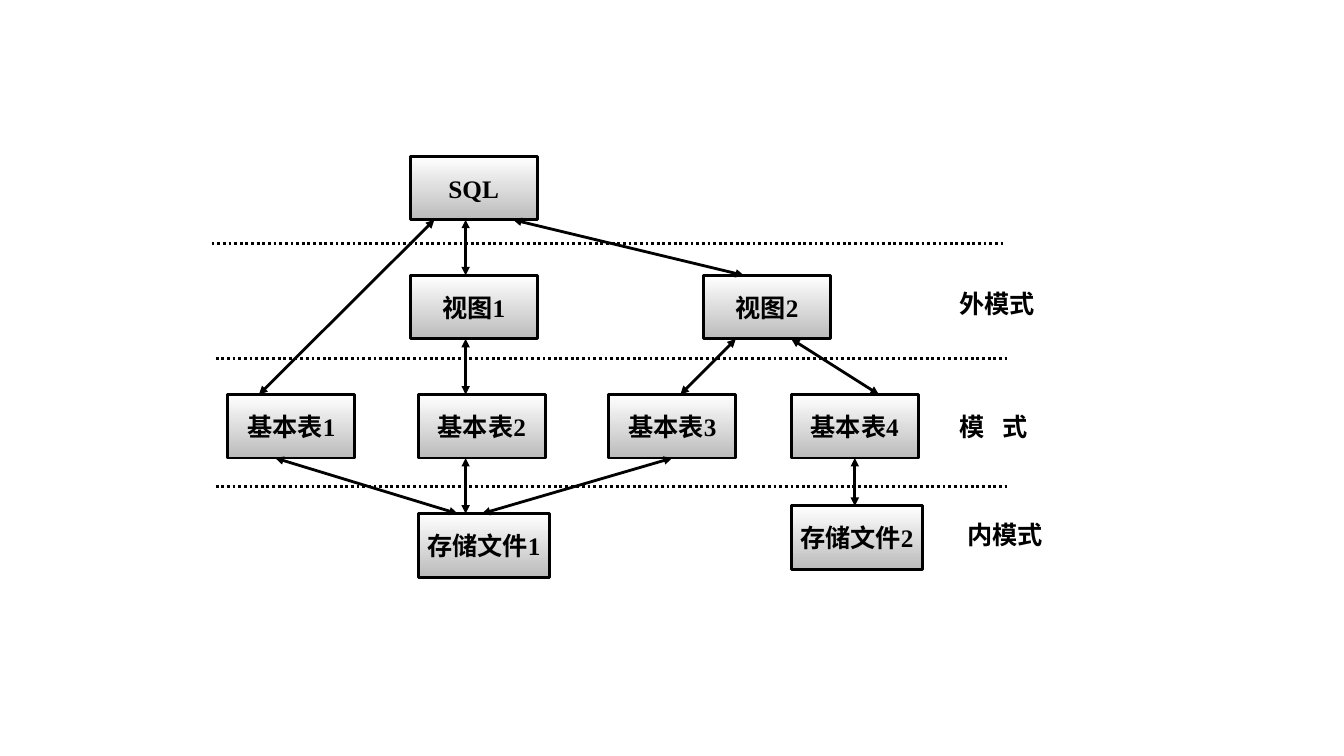
from lxml import etree
from pptx import Presentation
from pptx.dml.color import RGBColor
from pptx.enum.dml import MSO_LINE
from pptx.enum.shapes import MSO_CONNECTOR, MSO_SHAPE
from pptx.enum.text import MSO_ANCHOR, MSO_AUTO_SIZE, PP_ALIGN
from pptx.oxml.ns import qn
from pptx.util import Pt

RECT = MSO_SHAPE.RECTANGLE
STRAIGHT = MSO_CONNECTOR.STRAIGHT
DOTTED = MSO_LINE.ROUND_DOT
MIDDLE = MSO_ANCHOR.MIDDLE
GROW = MSO_AUTO_SIZE.SHAPE_TO_FIT_TEXT
CENTER = PP_ALIGN.CENTER

COLORS = {"ink": "000000", "light": "FFFFFF", "shade": "BBBBBB"}
FONT = "Times New Roman"
BOX_H = 45.4
BOX_W = 90.7
FILE_W = 93.6
TABLE_X = 298.8
ROWS = [111.6 + 85.1 * i for i in range(4)]
FILE2_Y = 361.4

BOXES = {
    "SQL": (293, ROWS[0], BOX_W),
    "视图1": (293, ROWS[1], BOX_W),
    "视图2": (502.6, ROWS[1], BOX_W),
    "基本表1": (162.7, ROWS[2], BOX_W),
    "基本表2": (TABLE_X, ROWS[2], BOX_W),
    "基本表3": (434.9, ROWS[2], BOX_W),
    "基本表4": (565.2, ROWS[2], BOX_W),
    "存储文件1": (TABLE_X, ROWS[3], FILE_W),
    "存储文件2": (565.2, FILE2_Y, FILE_W),
}
ARROWS = [
    ("SQL", 310.3, "基本表1", 185),
    ("SQL", 332.6, "视图1", 332.6),
    ("视图1", 332.6, "基本表2", 332.6),
    ("基本表2", 332.6, "存储文件1", 332.6),
    ("SQL", 366.5, "视图2", 531.4),
    ("视图2", 525.6, "基本表3", 486),
    ("视图2", 565.2, "基本表4", 627.8),
    ("基本表1", 196.6, "存储文件1", 326.9),
    ("基本表3", 480.2, "存储文件1", 344.2),
    ("基本表4", 610.6, "存储文件2", 610.6),
]
DIVIDERS = [(151.2, 174.2), (154.1, 256.3), (154.1, 347.8)]
DIVIDER_W = 567
LABELS = [("外模式", 678.2, 202.3), ("模 式", 678.2, 290.2), ("内模式", 684, 367.2)]
LABEL_SPACE = "900"


def rgb(name):
    return RGBColor.from_string(COLORS[name])


def style_line(line):
    line.color.rgb = rgb("ink")
    line.width = Pt(2)


def style_text(p):
    p.font.name = FONT
    p.font.size = Pt(18)
    p.font.bold = True
    p.font.color.rgb = rgb("ink")


def add_box(s, text, x, y, w):
    sp = s.shapes.add_shape(RECT, Pt(x), Pt(y), Pt(w), Pt(BOX_H))
    sp.shadow.inherit = False
    sp.fill.gradient()
    sp.fill.gradient_angle = 270
    for stop, name in zip(sp.fill.gradient_stops, ("light", "shade")):
        stop.color.rgb = rgb(name)
    style_line(sp.line)
    tf = sp.text_frame
    tf.word_wrap = False
    tf.vertical_anchor = MIDDLE
    p = tf.paragraphs[0]
    p.text = text
    p.alignment = CENTER
    style_text(p)


def add_line(s, x1, y1, x2, y2):
    cxn = s.shapes.add_connector(STRAIGHT, Pt(x1), Pt(y1), Pt(x2), Pt(y2))
    style_line(cxn.line)
    etree.SubElement(cxn._element.spPr, qn("a:effectLst"))
    return cxn


def add_arrow(s, upper, x1, lower, x2):
    cxn = add_line(s, x1, BOXES[upper][1] + BOX_H, x2, BOXES[lower][1])
    ln = cxn.line._get_or_add_ln()
    for end in ("a:headEnd", "a:tailEnd"):
        etree.SubElement(ln, qn(end), type="triangle")


def add_divider(s, x, y):
    add_line(s, x, y, x + DIVIDER_W, y).line.dash_style = DOTTED


def add_label(s, text, x, y):
    sp = s.shapes.add_textbox(Pt(x), Pt(y), Pt(85), Pt(28.8))
    tf = sp.text_frame
    tf.word_wrap = True
    tf.auto_size = GROW
    p = tf.paragraphs[0]
    style_text(p)
    for part in text.partition(" "):
        if part:
            r = p.add_run()
            r.text = part
            if part == " ":
                r.font._element.set("spc", LABEL_SPACE)


def main():
    prs = Presentation()
    prs.slide_width, prs.slide_height = Pt(960), Pt(540)
    s = prs.slides.add_slide(prs.slide_layouts[6])
    for text, place in BOXES.items():
        add_box(s, text, *place)
    for arrow in ARROWS:
        add_arrow(s, *arrow)
    for divider in DIVIDERS:
        add_divider(s, *divider)
    for label in LABELS:
        add_label(s, *label)
    prs.save("out.pptx")


main()
